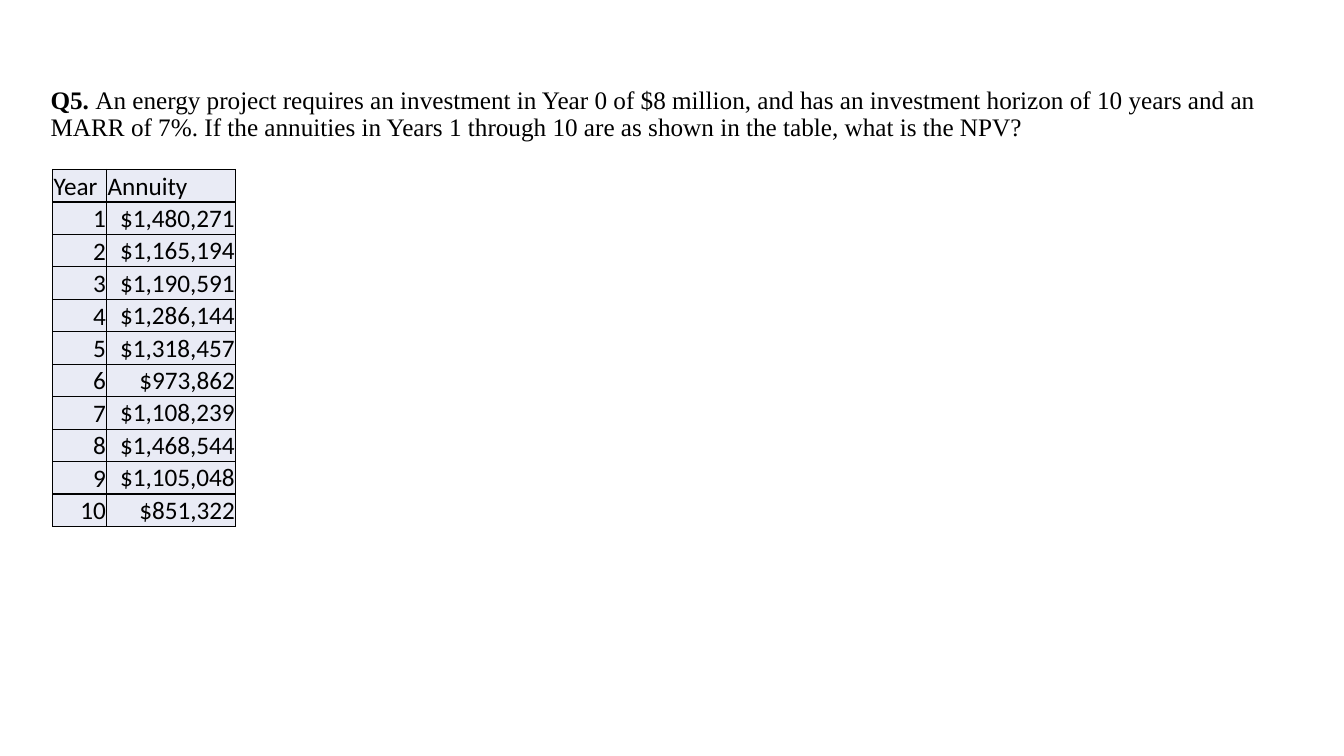
import pptx
import pptx.dml.color
import pptx.enum.text
import pptx.oxml
import pptx.oxml.ns
import pptx.util

Cm = pptx.util.Cm
Pt = pptx.util.Pt
ALIGN = pptx.enum.text.PP_ALIGN
ANCHOR = pptx.enum.text.MSO_ANCHOR
BLACK = pptx.dml.color.RGBColor(0x00, 0x00, 0x00)
PALE_BLUE = pptx.dml.color.RGBColor(0xE9, 0xEB, 0xF5)

QUESTION = (
    "An energy project requires an investment in Year 0 of $8 million, and has an "
    "investment horizon of 10 years and an MARR of 7%. If the annuities in Years 1 "
    "through 10 are as shown in the table, what is the NPV?"
)
ANNUITIES = [1480271, 1165194, 1190591, 1286144, 1318457,
             973862, 1108239, 1468544, 1105048, 851322]


def apply(obj, values):
    for name, value in values.items():
        setattr(obj, name, value)


class SlideBuilder:
    body_font = "Times New Roman"
    table_font = "Calibri"
    size = Pt(18)

    def __init__(self, prs):
        self.slide = prs.slides.add_slide(prs.slide_layouts[1])
        title = self.slide.shapes.title.element
        title.getparent().remove(title)

    def run(self, p, text, font, bold=False):
        r = p.add_run()
        r.text = text
        apply(r.font, {"name": font, "size": self.size, "bold": bold})
        r.font.color.rgb = BLACK

    def question(self, label, text, left, top, width, height):
        sp = self.slide.placeholders[1]
        apply(sp, {"left": Cm(left), "top": Cm(top),
                   "width": Cm(width), "height": Cm(height)})
        tf = sp.text_frame
        apply(tf, {"word_wrap": True, "vertical_anchor": ANCHOR.TOP,
                   "auto_size": pptx.enum.text.MSO_AUTO_SIZE.NONE})
        p = tf.paragraphs[0]
        pPr = p._p.get_or_add_pPr()
        pPr.set("marL", "0")
        pPr.set("indent", "0")
        pPr.append(pptx.oxml.parse_xml(
            f'<a:buNone {pptx.oxml.ns.nsdecls("a")}/>'))
        apply(p, {"line_spacing": 0.9, "space_before": Pt(0),
                  "alignment": ALIGN.LEFT})
        self.run(p, label, self.body_font, bold=True)
        self.run(p, text, self.body_font)

    def borders(self, cell):
        tcPr = cell._tc.get_or_add_tcPr()
        for side in "LRTB":
            tcPr.append(pptx.oxml.parse_xml(
                f'<a:ln{side} {pptx.oxml.ns.nsdecls("a")} w="{Pt(1)}">'
                f'<a:solidFill><a:srgbClr val="{BLACK}"/></a:solidFill>'
                f'</a:ln{side}>'))

    def cell(self, cell, text, align, anchor):
        self.borders(cell)
        cell.fill.solid()
        cell.fill.fore_color.rgb = PALE_BLUE
        apply(cell, {"margin_left": Cm(0.02), "margin_right": Cm(0.02),
                     "margin_top": Cm(0.02), "margin_bottom": 0,
                     "vertical_anchor": anchor})
        p = cell.text_frame.paragraphs[0]
        p.alignment = align
        self.run(p, text, self.table_font)

    def table(self, rows, left, top, widths, height):
        table = self.slide.shapes.add_table(
            len(rows), len(widths), Cm(left), Cm(top),
            Cm(sum(widths)), Cm(height)).table
        for column, width in zip(table.columns, widths):
            column.width = Cm(width)
        for i, row in enumerate(rows):
            table.rows[i].height = Cm(height / len(rows))
            for j, text in enumerate(row):
                align = ALIGN.RIGHT if i else ALIGN.LEFT
                anchor = ANCHOR.MIDDLE if i and j else ANCHOR.BOTTOM
                self.cell(table.cell(i, j), text, align, anchor)


def main():
    prs = pptx.Presentation()
    apply(prs, {"slide_width": Cm(33.87), "slide_height": Cm(19.05)})
    s = SlideBuilder(prs)
    s.question("Q5. ", QUESTION, 1.02, 2.08, 32.1, 12.1)
    rows = [("Year", "Annuity")]
    rows += [(str(year), f"${value:,}") for year, value in enumerate(ANNUITIES, 1)]
    s.table(rows, 1.33, 4.27, (1.36, 3.25), 9)
    prs.save("out.pptx")


if __name__ == "__main__":
    main()
